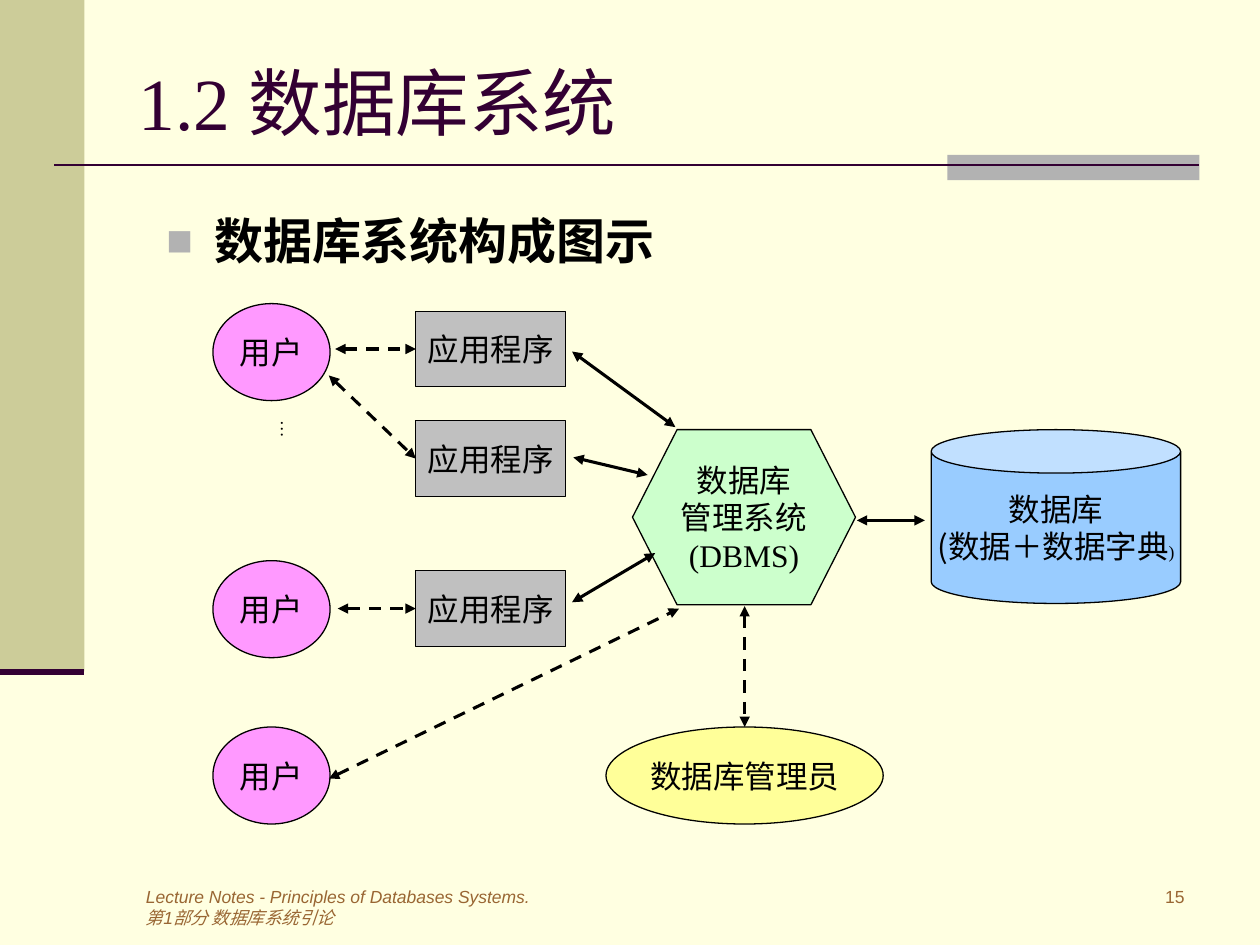
"""Build the slide that shows how a database system is composed."""
from pptx import Presentation
from pptx.dml.color import RGBColor
from pptx.enum.dml import MSO_LINE
from pptx.enum.shapes import MSO_CONNECTOR, MSO_SHAPE
from pptx.enum.text import MSO_ANCHOR, PP_ALIGN
from pptx.oxml.ns import qn
from pptx.util import Inches, Pt
from lxml.etree import SubElement

SERIF, SANS, CHINESE = "Times New Roman", "Arial", "Noto Sans CJK SC"
BLACK, PLUM, GRAY, BROWN = "000000", "330033", "B2B2B2", "996633"
PINK, SILVER = "FF99FF", "C0C0C0"
TOP, LEFT = 0, 1


def color(value):
    return RGBColor.from_string(value)


def write(paragraph, text, size=18, font=SERIF, ink=BLACK, bold=False,
          italic=False, align=PP_ALIGN.CENTER):
    paragraph.alignment = align
    for index, line in enumerate(text.split("\n")):
        if index:
            paragraph.add_line_break()
        run = paragraph.add_run()
        run.text = line
        run.font.size, run.font.name = Pt(size), font
        run.font.bold, run.font.italic = bold, italic
        run.font.color.rgb = color(ink)
        SubElement(run.font._element, qn("a:ea"), typeface=CHINESE)


class Diagram:
    def __init__(self, presentation):
        self.slide = presentation.slides.add_slide(presentation.slide_layouts[1])
        self.slide.background.fill.solid()
        self.slide.background.fill.fore_color.rgb = color("FFFFE1")

    def placeholder(self, index, box, anchor, text, **style):
        shape = self.slide.placeholders[index]
        shape.left, shape.top, shape.width, shape.height = map(Inches, box)
        shape.text_frame.vertical_anchor = anchor
        paragraph = shape.text_frame.paragraphs[0]
        write(paragraph, text, align=PP_ALIGN.LEFT, **style)
        return paragraph

    def bullet(self, paragraph, ink):
        paragraph.space_before = Pt(7)
        properties = paragraph._p.get_or_add_pPr()
        properties.set("marL", str(Inches(0.38)))
        properties.set("indent", str(Inches(-0.38)))
        SubElement(SubElement(properties, qn("a:buClr")), qn("a:srgbClr"), val=ink)
        SubElement(properties, qn("a:buSzPct"), val="90000")
        SubElement(properties, qn("a:buFont"), typeface=SANS)
        SubElement(properties, qn("a:buChar"), char="■")

    def shape(self, kind, box, fill, text="", outline=True, margin=0.05):
        shape = self.slide.shapes.add_shape(kind, *map(Inches, box))
        shape.shadow.inherit = False
        shape.fill.solid()
        shape.fill.fore_color.rgb = color(fill)
        if outline:
            shape.line.color.rgb = color(BLACK)
            shape.line.width = Pt(0.75)
        else:
            shape.line.fill.background()
        frame = shape.text_frame
        frame.word_wrap, frame.vertical_anchor = True, MSO_ANCHOR.MIDDLE
        frame.margin_left = frame.margin_right = 0
        frame.margin_top = frame.margin_bottom = Inches(margin)
        if text:
            write(frame.paragraphs[0], text)
        return shape

    def text(self, box, lines, vertical=False, **style):
        frame = self.slide.shapes.add_textbox(*map(Inches, box)).text_frame
        frame.word_wrap = True
        if vertical:
            frame._txBody.bodyPr.set("vert", "eaVert")
            frame.margin_left = frame.margin_right = Inches(0.05)
            frame.margin_top = frame.margin_bottom = Inches(0.1)
        for index, line in enumerate(lines):
            paragraph = frame.add_paragraph() if index else frame.paragraphs[0]
            write(paragraph, line, size=10, **style)

    def line(self, start, end, ink, width):
        connector = self.slide.shapes.add_connector(
            MSO_CONNECTOR.STRAIGHT, *map(Inches, start + end))
        connector.line.color.rgb = color(ink)
        connector.line.width = Pt(width)
        SubElement(connector._element.spPr, qn("a:effectLst"))
        return connector

    def arrow(self, start, end, dashed=False, target=None, side=LEFT):
        connector = self.line(start, end, BLACK, 1.75)
        if dashed:
            connector.line.dash_style = MSO_LINE.DASH
        for tip in ("a:headEnd", "a:tailEnd"):
            SubElement(connector.line._get_or_add_ln(), qn(tip), type="triangle")
        if target is not None:
            connector.end_connect(target, side)


def main():
    presentation = Presentation()
    presentation.slide_width, presentation.slide_height = Inches(10), Inches(7.5)
    diagram = Diagram(presentation)

    diagram.shape(MSO_SHAPE.RECTANGLE, (0, 0, 0.67, 5.33), "CCCC99", outline=False)
    diagram.shape(MSO_SHAPE.RECTANGLE, (7.52, 1.23, 2, 0.2), GRAY, outline=False)
    diagram.line((0.43, 1.31), (9.52, 1.31), PLUM, 1.5)
    diagram.line((0, 5.33), (0.67, 5.33), PLUM, 3.5)

    diagram.placeholder(0, (1, 0.3, 8.5, 1.01), MSO_ANCHOR.MIDDLE,
                        "1.2 数据库系统", size=42, ink=PLUM)
    heading = diagram.placeholder(1, (1.22, 1.62, 6.93, 0.79), MSO_ANCHOR.TOP,
                                  "数据库系统构成图示", size=28, font=SANS, bold=True)
    diagram.bullet(heading, GRAY)
    diagram.text((1.06, 6.98, 4.65, 0.35),
                 ["Lecture Notes - Principles of Databases Systems.",
                  "第1部分 数据库系统引论"],
                 font=SANS, ink=BROWN, italic=True, align=PP_ALIGN.LEFT)
    diagram.text((8.23, 6.98, 1.27, 0.35), ["15"],
                 font=SANS, ink=BROWN, align=PP_ALIGN.RIGHT)

    for left, top in ((1.89, 3.24), (3.68, 3.71)):
        diagram.text((left, top, 0.53, 1.06), ["…"], vertical=True)
    for top in (2.41, 4.45, 5.77):
        diagram.shape(MSO_SHAPE.OVAL, (1.69, top, 0.93, 0.77), PINK, "用户")
    programs = [diagram.shape(MSO_SHAPE.FLOWCHART_PROCESS, (3.3, top, 1.19, 0.6),
                              SILVER, "应用程序", margin=0)
                for top in (2.47, 3.34, 4.53)]
    diagram.shape(MSO_SHAPE.FLOWCHART_PREPARATION, (5.02, 3.41, 1.77, 1.39),
                  "CCFFCC", "数据库\n管理系统(DBMS)")
    administrator = diagram.shape(MSO_SHAPE.OVAL, (4.81, 5.77, 2.2, 0.77),
                                  "FFFF99", "数据库管理员")
    database = diagram.shape(MSO_SHAPE.CAN, (7.39, 3.41, 1.98, 1.38), "99CCFF")
    frame = database.text_frame
    write(frame.paragraphs[0], "数据库", font=CHINESE)
    contents = frame.add_paragraph()
    write(contents, "(数据＋数据字典", font=CHINESE)
    write(contents, ")", size=10)

    user_ends = ((2.66, 2.77), (2.61, 2.98), (2.68, 4.83))
    for start, program in zip(user_ends, programs):
        diagram.arrow(start, (3.3, start[1]), dashed=True, target=program)
    diagram.arrow((2.61, 6.18), (5.39, 4.83), dashed=True)
    diagram.arrow((5.91, 4.81), (5.91, 5.77), dashed=True,
                  target=administrator, side=TOP)
    for start, end in (((4.54, 2.79), (5.36, 3.39)), ((4.55, 3.63), (5.14, 3.77)),
                       ((4.54, 4.78), (5.2, 4.39)), ((6.8, 4.13), (7.34, 4.13))):
        diagram.arrow(start, end)

    presentation.save("out.pptx")


if __name__ == "__main__":
    main()
